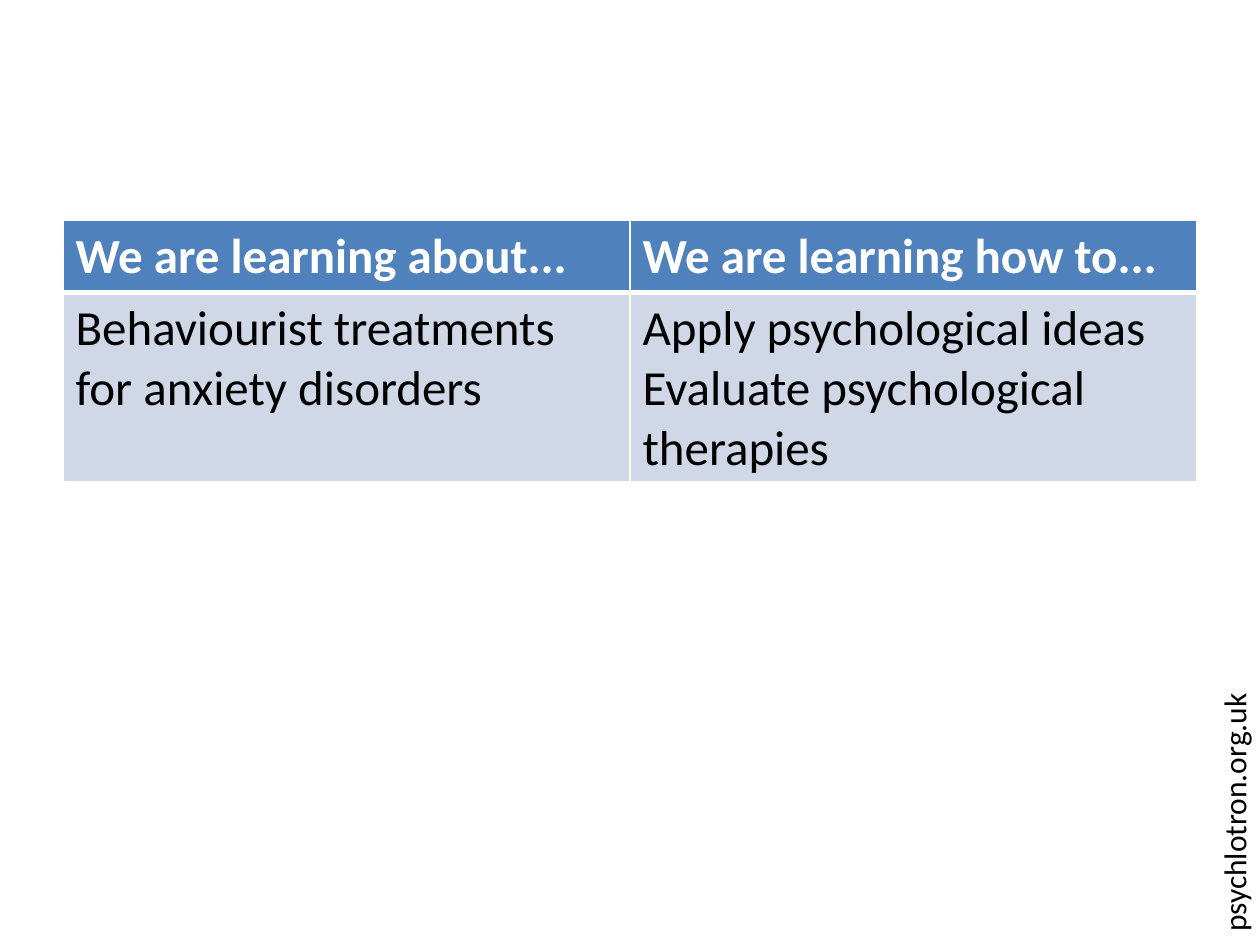
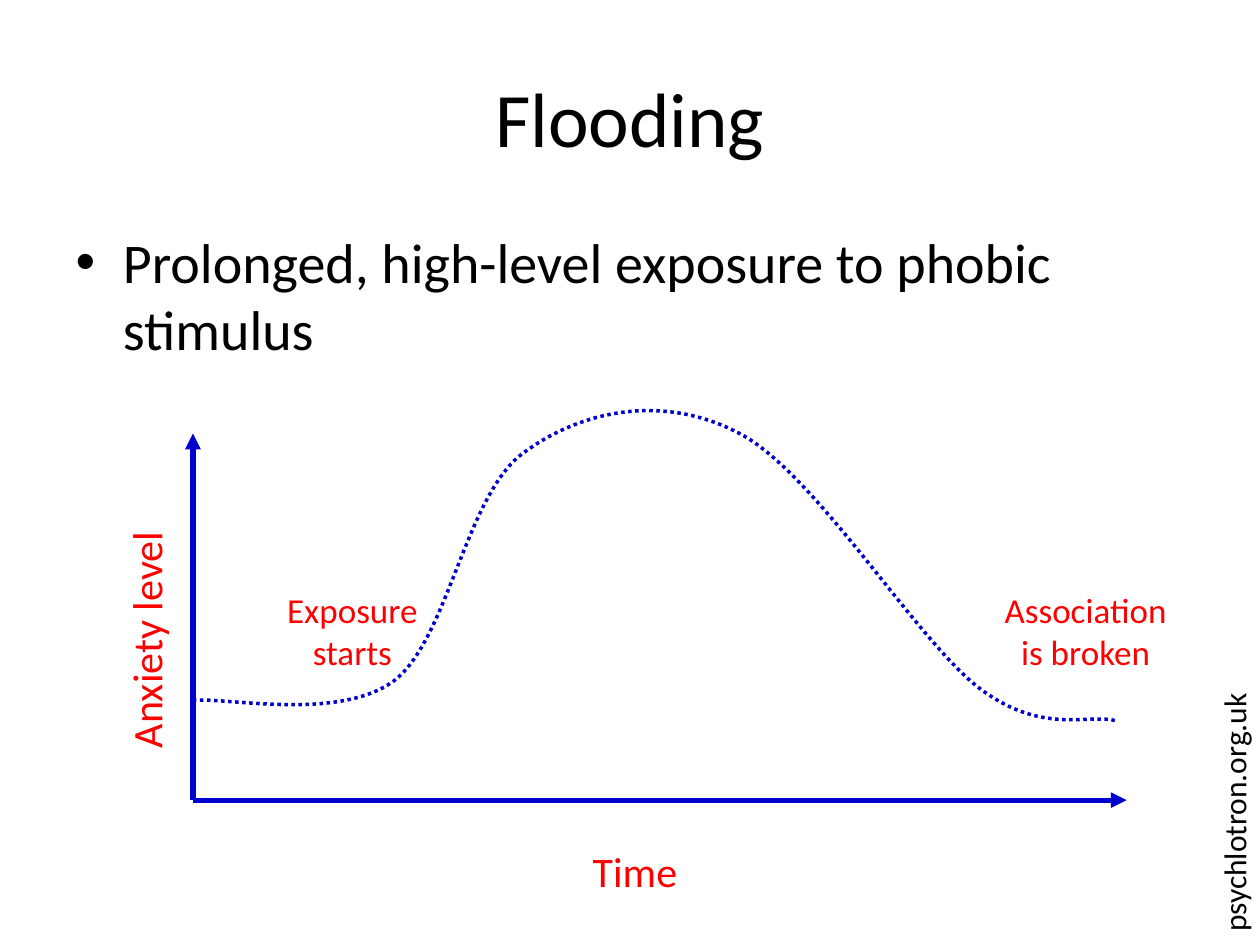
from itertools import product

from lxml.etree import SubElement
from pptx import Presentation
from pptx.dml.color import RGBColor
from pptx.enum.dml import MSO_LINE
from pptx.enum.shapes import MSO_CONNECTOR
from pptx.enum.text import MSO_ANCHOR, PP_ALIGN
from pptx.oxml.ns import qn
from pptx.util import Cm, Pt

COLOURS = {
    "text": "000000",
    "label": "FF0000",
    "graph": "0000CC",
    "header": "4F81BD",
    "cell": "D0D8E8",
    "white": "FFFFFF",
}
FONT = "Calibri"


def style(paragraph, size, colour, align=PP_ALIGN.LEFT, bold=False):
    paragraph.alignment = align
    paragraph.space_before = Pt(0)
    font = paragraph.font
    font.name, font.size, font.bold = FONT, Pt(size), bold
    font.color.rgb = RGBColor.from_string(COLOURS[colour])


def add_label(slide, text, box, size, colour, align=PP_ALIGN.LEFT, rotation=0):
    label = slide.shapes.add_textbox(*[Cm(length) for length in box])
    label.rotation = rotation
    label.text_frame.word_wrap = True
    label.text_frame.text = text
    style(label.text_frame.paragraphs[0], size, colour, align)


prs = Presentation()
prs.slide_width, prs.slide_height = Cm(25.4), Cm(19.05)
aims_slide = prs.slides.add_slide(prs.slide_layouts[6])
flooding_slide = prs.slides.add_slide(prs.slide_layouts[1])

# Web address up the right edge of both slides
for slide in (aims_slide, flooding_slide):
    add_label(slide, "psychlotron.org.uk", (18.97, 12.62, 11.81, 1.02),
              18, "text", rotation=270)

# Slide 1: learning aims
aims = [
    ["We are learning about...", "We are learning how to..."],
    ["Behaviourist treatments for anxiety disorders",
     "Apply psychological ideas\nEvaluate psychological therapies"],
]
aims_table = aims_slide.shapes.add_table(
    2, 2, Cm(1.27), Cm(4.45), Cm(22.86), Cm(5.26)).table
aims_table.rows[0].height, aims_table.rows[1].height = Cm(1.45), Cm(3.81)

for row, column in product(range(2), range(2)):
    is_header = row == 0
    cell = aims_table.cell(row, column)
    cell.text = aims[row][column]
    for paragraph in cell.text_frame.paragraphs:
        style(paragraph, 28, "white" if is_header else "text", bold=is_header)

    # White borders, with a thick rule between header and body
    thick_side = "lnB" if is_header else "lnT"
    properties = cell._tc.get_or_add_tcPr()
    for side in ("lnL", "lnR", "lnT", "lnB"):
        width = Pt(3 if side == thick_side else 1)
        border = SubElement(properties, qn(f"a:{side}"), w=str(width))
        border_fill = SubElement(border, qn("a:solidFill"))
        SubElement(border_fill, qn("a:srgbClr"), val=COLOURS["white"])
    cell.fill.solid()
    cell.fill.fore_color.rgb = RGBColor.from_string(
        COLOURS["header" if is_header else "cell"])

# Slide 2: title and definition
heading = flooding_slide.shapes.title
heading.left, heading.top, heading.width, heading.height = (
    Cm(1.27), Cm(0.76), Cm(22.86), Cm(3.18))
heading.text_frame.text = "Flooding"
heading.text_frame.vertical_anchor = MSO_ANCHOR.MIDDLE
style(heading.text_frame.paragraphs[0], 44, "text", PP_ALIGN.CENTER)

definition = flooding_slide.placeholders[1]
definition.left, definition.top, definition.width, definition.height = (
    Cm(1.27), Cm(4.45), Cm(22.86), Cm(12.57))
definition.text_frame.text = "Prolonged, high-level exposure to phobic stimulus"
style(definition.text_frame.paragraphs[0], 32, "text")

# Axes, both drawn outwards from the origin
origin_x, origin_y = Cm(3.89), Cm(16.13)
for tip_x, tip_y in ((origin_x, Cm(8.74)), (Cm(22.71), origin_y)):
    axis = flooding_slide.shapes.add_connector(
        MSO_CONNECTOR.STRAIGHT, origin_x, origin_y, tip_x, tip_y)
    axis.line.color.rgb = RGBColor.from_string(COLOURS["graph"])
    axis.line.width = Pt(3)
    SubElement(axis.line._get_or_add_ln(), qn("a:tailEnd"), type="triangle")
    SubElement(axis._element.spPr, qn("a:effectLst"))

# Anxiety curve: a start point, then two control points and an end per bend
curve_points = [
    (3.89, 14.12),
    (4.57, 14.05), (6.83, 14.55), (7.95, 13.72),
    (9.04, 12.88), (9.4, 9.93), (10.57, 9.12),
    (11.71, 8.28), (13.36, 7.92), (14.91, 8.74),
    (16.43, 9.53), (18.47, 12.9), (19.74, 13.87),
    (21.01, 14.83), (21.92, 14.38), (22.5, 14.53),
]
start, *bends = [(Cm(x), Cm(y)) for x, y in curve_points]
builder = flooding_slide.shapes.build_freeform(*start)
builder.add_line_segments(bends, close=False)
anxiety_curve = builder.convert_to_shape()
anxiety_curve.shadow.inherit = False
anxiety_curve.fill.background()
anxiety_curve.line.color.rgb = RGBColor.from_string(COLOURS["graph"])
anxiety_curve.line.width = Pt(2)
anxiety_curve.line.dash_style = MSO_LINE.ROUND_DOT

# Join every three straight segments into one Bézier bend
segments = list(anxiety_curve._element.iter(qn("a:lnTo")))
outline = segments[0].getparent()
for first in range(0, len(segments), 3):
    bend = SubElement(outline, qn("a:cubicBezTo"))
    for segment in segments[first:first + 3]:
        bend.append(segment[0])
        outline.remove(segment)

# Graph labels
add_label(flooding_slide, "Anxiety level", (0.23, 11.99, 5.41, 1.27),
          24, "label", rotation=270)
for text, box, size in (
    ("Time", (7.9, 16.92, 9.8, 1.27), 24),
    ("Exposure starts", (5.11, 11.73, 3.99, 1.96), 20),
    ("Association is broken", (19.89, 11.73, 3.99, 1.96), 20),
):
    add_label(flooding_slide, text, box, size, "label", PP_ALIGN.CENTER)

prs.save("out.pptx")
